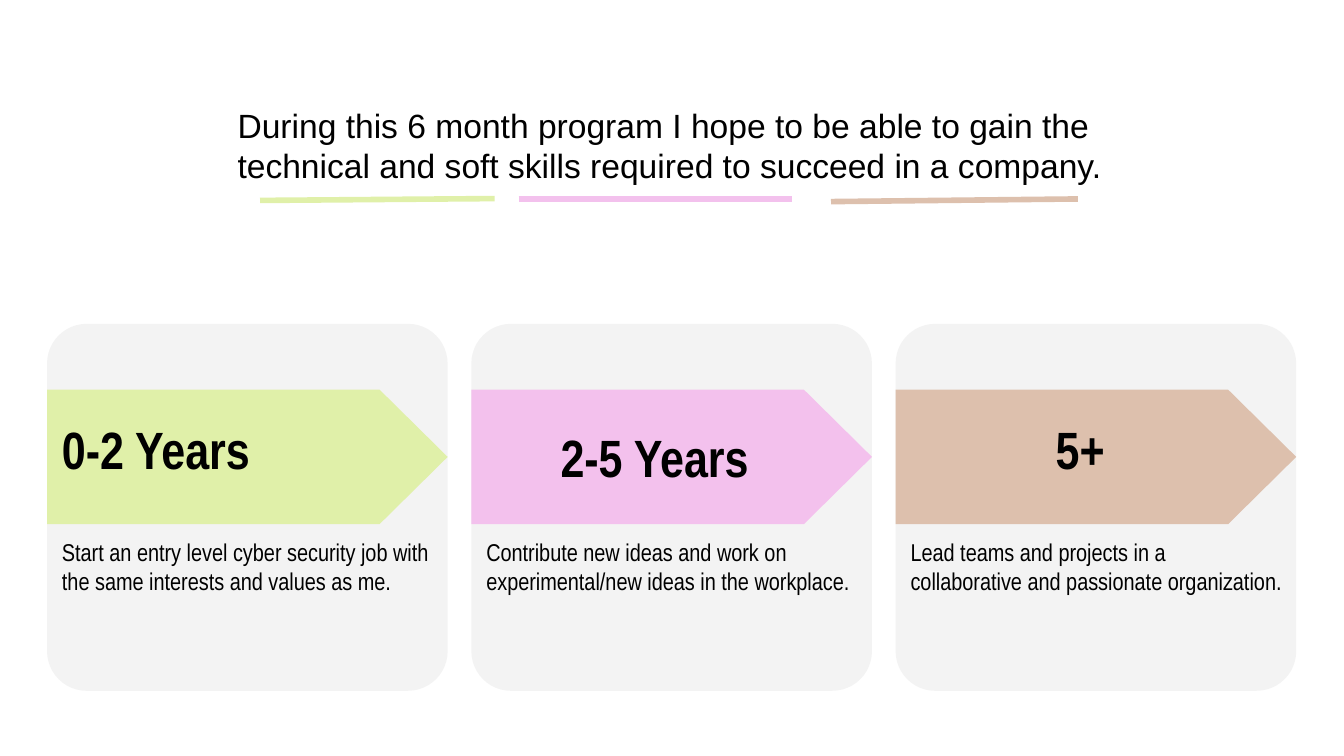
from dataclasses import dataclass

from lxml import etree
from pptx import Presentation
from pptx.dml.color import RGBColor
from pptx.enum.shapes import MSO_CONNECTOR, MSO_SHAPE
from pptx.enum.text import MSO_ANCHOR, MSO_AUTO_SIZE, PP_ALIGN
from pptx.oxml.ns import qn
from pptx.util import Pt

ROUND = MSO_SHAPE.ROUNDED_RECTANGLE
ARROW = MSO_SHAPE.PENTAGON
RECT = MSO_SHAPE.RECTANGLE
LINE = MSO_CONNECTOR.STRAIGHT
TOP, MIDDLE = MSO_ANCHOR.TOP, MSO_ANCHOR.MIDDLE
LEFT, CENTER = PP_ALIGN.LEFT, PP_ALIGN.CENTER
GROW = MSO_AUTO_SIZE.SHAPE_TO_FIT_TEXT


@dataclass(frozen=True)
class Theme:
    ink: str = "000000"
    paper: str = "FFFFFF"
    card: str = "F3F3F3"
    lime: str = "E0F0A9"
    pink: str = "F3C1ED"
    tan: str = "DDC0AD"
    sans: str = "Arial"
    narrow: str = "Arial Narrow"
    intro: float = 18
    head: float = 28.1
    body: float = 13


THEME = Theme()
CARD_X, CARD_Y, CARD_W, CARD_H = 25.2, 173.5, 214.6, 196.6
STEP = 227.3
ARROW_Y, ARROW_H = 208.8, 72
HEAD_Y, HEAD_W, HEAD_H = 211, 203.8, 67
BODY_Y, BODY_H = 284.4, 75.6
INDENT = 38.9

# Heading, body text, colour, and heading style
STAGES = [
    ("0-2 Years",
     "Start an entry level cyber security job with the same interests "
     "and values as me.", THEME.lime, {}),
    ("2-5 Years",
     "Contribute new ideas and work on experimental/new ideas in the "
     "workplace.", THEME.pink, {"align": CENTER}),
    ("5+",
     "Lead teams and projects in a collaborative and passionate "
     "organization.", THEME.tan, {"indent": INDENT}),
]
INTRO = ("During this 6 month program I hope to be able to gain the technical "
         "and soft skills required to succeed in a company.")
STROKES = [
    (277.9, 106.7, 424.1, 106.7, THEME.pink),
    (139.3, 107.4, 265, 106.4, THEME.lime),
    (445.2, 108, 577.4, 106.6, THEME.tan),
]


def color(code):
    return RGBColor.from_string(code)


def add_shape(slide, kind, box, fill, adjust=None, line=None):
    shape = slide.shapes.add_shape(kind, *map(Pt, box))
    shape.shadow.inherit = False
    shape.fill.solid()
    shape.fill.fore_color.rgb = color(fill)
    if line:
        shape.line.color.rgb = color(line)
        shape.line.width = Pt(0.75)
    else:
        shape.line.fill.background()
    if adjust is not None:
        shape.adjustments[0] = adjust
    return shape


def add_box(slide, box):
    return slide.shapes.add_textbox(*map(Pt, box))


def put_text(shape, text, *, size, font=THEME.narrow, bold=False, align=LEFT,
             anchor=TOP, pads=(8, 3.6, 8, 3.6), space=None, indent=0):
    frame = shape.text_frame
    frame.word_wrap = True
    frame.vertical_anchor = anchor
    (frame.margin_left, frame.margin_top,
     frame.margin_right, frame.margin_bottom) = map(Pt, pads)
    para = frame.paragraphs[0]
    para.alignment = align
    if space:
        para.line_spacing = space
    if indent:
        props = para._p.get_or_add_pPr()
        for name in ("marL", "indent"):
            props.set(name, str(Pt(indent)))
    run = para.add_run()
    run.text = text
    run.font.name = font
    run.font.size = Pt(size)
    run.font.bold = bold
    run.font.color.rgb = color(THEME.ink)


def add_stroke(slide, x1, y1, x2, y2, tint):
    line = slide.shapes.add_connector(LINE, *map(Pt, (x1, y1, x2, y2)))
    line.line.color.rgb = color(tint)
    line.line.width = Pt(3)
    etree.SubElement(line._element.spPr, qn("a:effectLst"))


def add_stage(slide, left, head, body, tint, style):
    add_shape(slide, ROUND, (left, CARD_Y, CARD_W, CARD_H), THEME.card, 0.108)
    arrow = add_shape(slide, ARROW, (left, ARROW_Y, CARD_W, ARROW_H),
                      tint, 0.506)
    look = {"size": THEME.head, "bold": True, "anchor": MIDDLE, **style}
    if style.get("align") == CENTER:
        put_text(arrow, head, pads=(8, 8, 8, 8), **look)
    else:
        label = add_box(slide, (left, HEAD_Y, HEAD_W, HEAD_H))
        put_text(label, head, pads=(8, 0, 0, 0), space=0.7, **look)
    note = add_box(slide, (left, BODY_Y, CARD_W, BODY_H))
    put_text(note, body, size=THEME.body)


def add_intro(slide):
    intro = add_shape(slide, RECT, (120.2, 49, 479.5, 58.3), THEME.paper,
                      line=THEME.paper)
    put_text(intro, INTRO, size=THEME.intro, font=THEME.sans,
             pads=(7.2, 7.2, 7.2, 7.2))
    intro.text_frame.auto_size = GROW
    for stroke in STROKES:
        add_stroke(slide, *stroke)


def main():
    deck = Presentation()
    deck.slide_width, deck.slide_height = Pt(720), Pt(405)
    slide = deck.slides.add_slide(deck.slide_layouts[6])
    for i, stage in enumerate(STAGES):
        add_stage(slide, CARD_X + i * STEP, *stage)
    add_intro(slide)
    deck.save("out.pptx")


if __name__ == "__main__":
    main()
